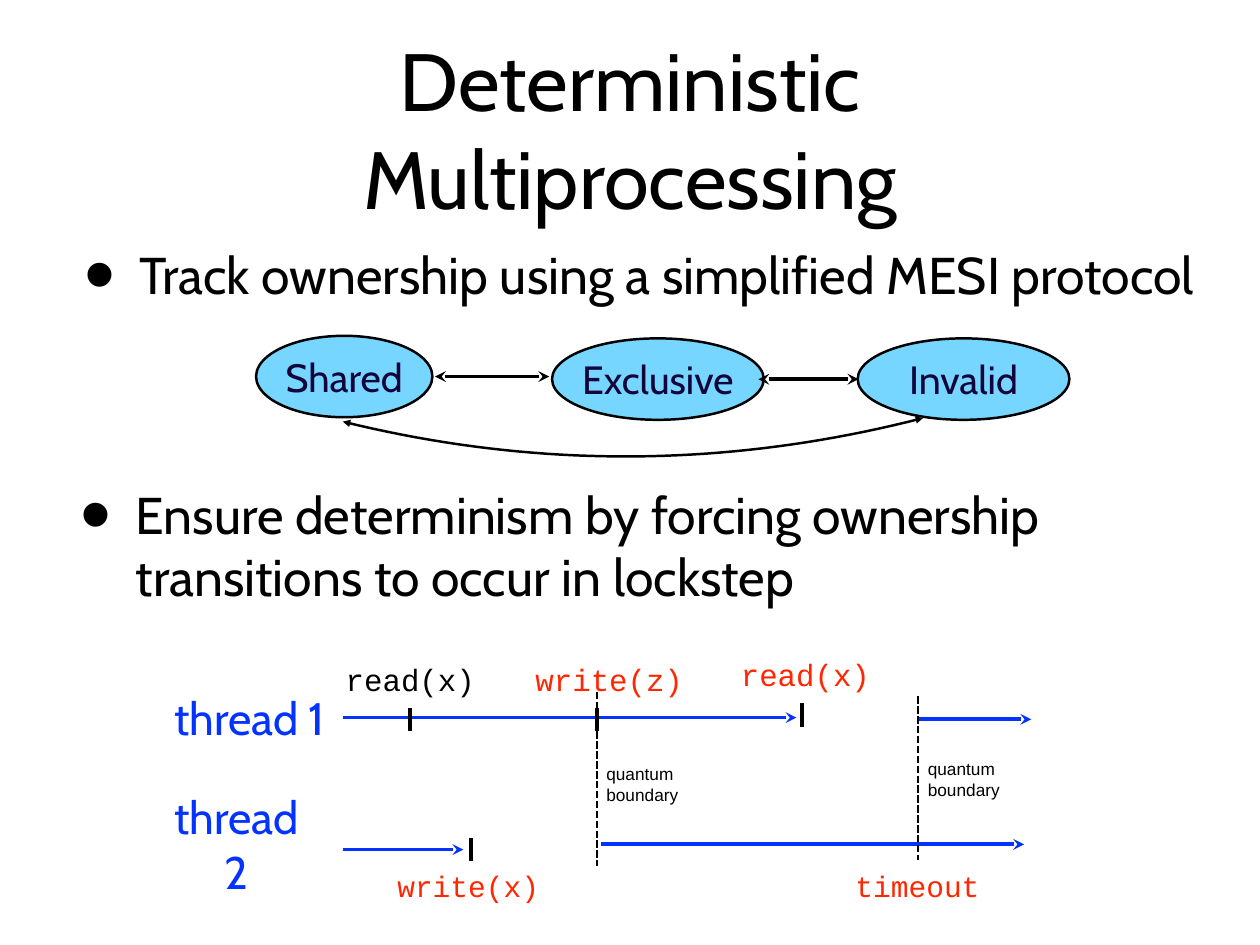
import dataclasses
from typing import Any, Optional

import pptx
import pptx.dml.color
import pptx.enum.dml
import pptx.enum.shapes
import pptx.enum.text
import pptx.oxml
import pptx.oxml.ns
import pptx.util

Pt = pptx.util.Pt
Align = pptx.enum.text.PP_ALIGN
BLACK = pptx.dml.color.RGBColor(0x00, 0x00, 0x00)
BLUE = pptx.dml.color.RGBColor(0x04, 0x33, 0xFF)
RED = pptx.dml.color.RGBColor(0xFF, 0x26, 0x00)
SKY = pptx.dml.color.RGBColor(0x76, 0xD6, 0xFF)
NAVY = pptx.dml.color.RGBColor(0x11, 0x05, 0x3B)
INSET = 4.5
TICK_HEIGHT = 19
STATE_HEIGHT = 66.2
CURVE_STEPS = 40


@dataclasses.dataclass
class Label:
    text: str
    left: float
    top: float
    width: float
    height: float
    size: float
    font: str = "Courier New"
    color: pptx.dml.color.RGBColor = RED
    align: Any = Align.CENTER
    wrap: bool = False


@dataclasses.dataclass
class Stroke:
    x1: float
    y1: float
    x2: float
    y2: float
    color: pptx.dml.color.RGBColor = BLACK
    width: float = 3
    head: Optional[str] = None
    tail: Optional[str] = None
    dashed: bool = False


@dataclasses.dataclass
class State:
    name: str
    left: float
    top: float
    width: float


def apply(target: Any, formats: dict[str, Any]) -> None:
    for name, value in formats.items():
        setattr(target, name, value)


def write(box: Any, label: Label, inset: float = INSET) -> Any:
    frame = box.text_frame
    apply(frame, {
        "word_wrap": label.wrap,
        "auto_size": pptx.enum.text.MSO_AUTO_SIZE.NONE,
        "vertical_anchor": pptx.enum.text.MSO_ANCHOR.MIDDLE,
        "margin_left": Pt(inset), "margin_right": Pt(inset),
        "margin_top": Pt(inset), "margin_bottom": Pt(inset),
    })
    para = frame.paragraphs[0]
    apply(para, {"alignment": label.align, "space_before": Pt(0)})
    span = para.add_run()
    span.text = label.text
    apply(span.font, {"name": label.font, "size": Pt(label.size)})
    span.font.color.rgb = label.color
    return para


def fill_placeholder(box: Any, label: Label) -> Any:
    apply(box, {"left": Pt(label.left), "top": Pt(label.top),
                "width": Pt(label.width), "height": Pt(label.height)})
    return write(box, label)


def add_bullet(para: Any, margin: float, hanging: float) -> None:
    props = para._p.get_or_add_pPr()
    props.set("marL", str(Pt(margin)))
    props.set("indent", str(-Pt(hanging)))
    for tag, key, value in (("buSzPct", "val", "171000"), ("buChar", "char", "•")):
        bullet = pptx.oxml.parse_xml(
            f'<a:{tag} {pptx.oxml.ns.nsdecls("a")} {key}="{value}"/>')
        props.append(bullet)


def add_label(page: Any, label: Label) -> None:
    box = page.shapes.add_textbox(
        Pt(label.left), Pt(label.top), Pt(label.width), Pt(label.height))
    write(box, label)


def style_line(line: Any, stroke: Stroke) -> None:
    line.color.rgb = stroke.color
    line.width = Pt(stroke.width)
    if stroke.dashed:
        line.dash_style = pptx.enum.dml.MSO_LINE.SQUARE_DOT
    for tag, kind in (("headEnd", stroke.head), ("tailEnd", stroke.tail)):
        if kind:
            line._get_or_add_ln().append(pptx.oxml.parse_xml(
                f'<a:{tag} {pptx.oxml.ns.nsdecls("a")} type="{kind}"/>'))


def add_stroke(page: Any, stroke: Stroke) -> None:
    connector = page.shapes.add_connector(
        pptx.enum.shapes.MSO_CONNECTOR.STRAIGHT,
        Pt(stroke.x1), Pt(stroke.y1), Pt(stroke.x2), Pt(stroke.y2))
    style_line(connector.line, stroke)
    connector._element.spPr.append(
        pptx.oxml.parse_xml(f'<a:effectLst {pptx.oxml.ns.nsdecls("a")}/>'))


def add_state(page: Any, state: State) -> None:
    oval = page.shapes.add_shape(
        pptx.enum.shapes.MSO_SHAPE.OVAL, Pt(state.left), Pt(state.top),
        Pt(state.width), Pt(STATE_HEIGHT))
    oval.shadow.inherit = False
    oval.fill.solid()
    oval.fill.fore_color.rgb = SKY
    style_line(oval.line, Stroke(0, 0, 0, 0, width=2))
    write(oval, Label(state.name, state.left, state.top, state.width,
                      STATE_HEIGHT, 32, "Cabin", NAVY), inset=0)


def add_curve(page: Any, controls: list[tuple[float, float]]) -> None:
    points = []
    for step in range(CURVE_STEPS + 1):
        t = step / CURVE_STEPS
        weights = ((1 - t) ** 3, 3 * t * (1 - t) ** 2, 3 * t * t * (1 - t), t ** 3)
        points.append(tuple(
            Pt(sum(w * point[axis] for w, point in zip(weights, controls)))
            for axis in (0, 1)))
    builder = page.shapes.build_freeform(*points[0])
    builder.add_line_segments(points[1:], close=False)
    curve = builder.convert_to_shape()
    curve.shadow.inherit = False
    curve.fill.background()
    style_line(curve.line, Stroke(0, 0, 0, 0, width=2, head="triangle", tail="triangle"))


TITLE = Label("Deterministic Multiprocessing", 100, 8, 824, 192, 66, "Cabin", BLACK, wrap=True)
BULLETS = [
    (Label("Track ownership using a simplified MESI protocol",
           38.9, 182.9, 938.2, 79.9, 42, "Cabin", BLACK, Align.LEFT, True), 69.8),
    (Label("Ensure determinism by forcing ownership transitions to occur in lockstep",
           61.2, 380.2, 900.7, 125.3, 42, "Cabin", BLACK, Align.LEFT, True), 44.6),
]
STATES = [State("Shared", 208.1, 272.9, 143.3), State("Exclusive", 448.6, 275, 172.1),
          State("Invalid", 697, 275, 172.1)]
TRANSITIONS = [Stroke(x1, y, x2, y, head="stealth", tail="stealth")
               for x1, x2, y in ((353.5, 446.4, 306), (616.3, 697.7, 308.2))]
RETURN_CURVE = [(750.2, 339.8), (593.3, 380.2), (436.3, 381.6), (278.6, 342.7)]
TIMELINES = [Stroke(x1, y, x2, y, BLUE, tail="stealth") for x1, x2, y in (
    (278.6, 647.3, 583.2), (488.2, 832.3, 686.2),
    (278.6, 376.6, 690.5), (745.2, 838.1, 584.6))]
BOUNDARIES = [Stroke(x, top, x, bottom, width=2, dashed=True) for x, top, bottom in (
    (485.3, 562.3, 703.4), (745.9, 565.9, 699.1))]
TICKS = [Stroke(x, y, x, y + TICK_HEIGHT) for x, y in (
    (383, 681.1), (333.4, 575.3), (485.3, 575.3), (651.6, 571.7))]
LABELS = [
    Label("thread 1", 135.5, 557.3, 134.6, 51.1, 37, "Cabin", BLUE),
    Label("thread 2", 134.7, 660.2, 115, 51.1, 37, "Cabin", BLUE, wrap=True),
    Label("read(x)", 276.5, 533.5, 113.8, 36.7, 25, color=BLACK),
    Label("write(z)", 430.6, 533.5, 128.9, 36.7, 25),
    Label("read(x)", 597.6, 529.2, 113.8, 36.7, 25),
    Label("write(x)", 318.2, 702, 124.6, 35.3, 24),
    Label("timeout", 690.5, 702, 110.2, 35.3, 24),
] + [Label("quantum boundary", left, top, 79.9, 41.8, 14, "Arial", BLACK, Align.LEFT, True)
     for left, top in ((488.2, 616.3), (749.5, 612))]


def main() -> None:
    deck = pptx.Presentation()
    apply(deck, {"slide_width": Pt(1024), "slide_height": Pt(768)})
    page = deck.slides.add_slide(deck.slide_layouts.get_by_name("Two Content"))
    fill_placeholder(page.shapes.title, TITLE)
    for index, (label, margin) in enumerate(BULLETS, start=1):
        add_bullet(fill_placeholder(page.placeholders[index], label), margin, 44.6)
    for stroke in TIMELINES + BOUNDARIES + TICKS:
        add_stroke(page, stroke)
    for label in LABELS:
        add_label(page, label)
    for state in STATES:
        add_state(page, state)
    for stroke in TRANSITIONS:
        add_stroke(page, stroke)
    add_curve(page, RETURN_CURVE)
    deck.save("out.pptx")


if __name__ == "__main__":
    main()
